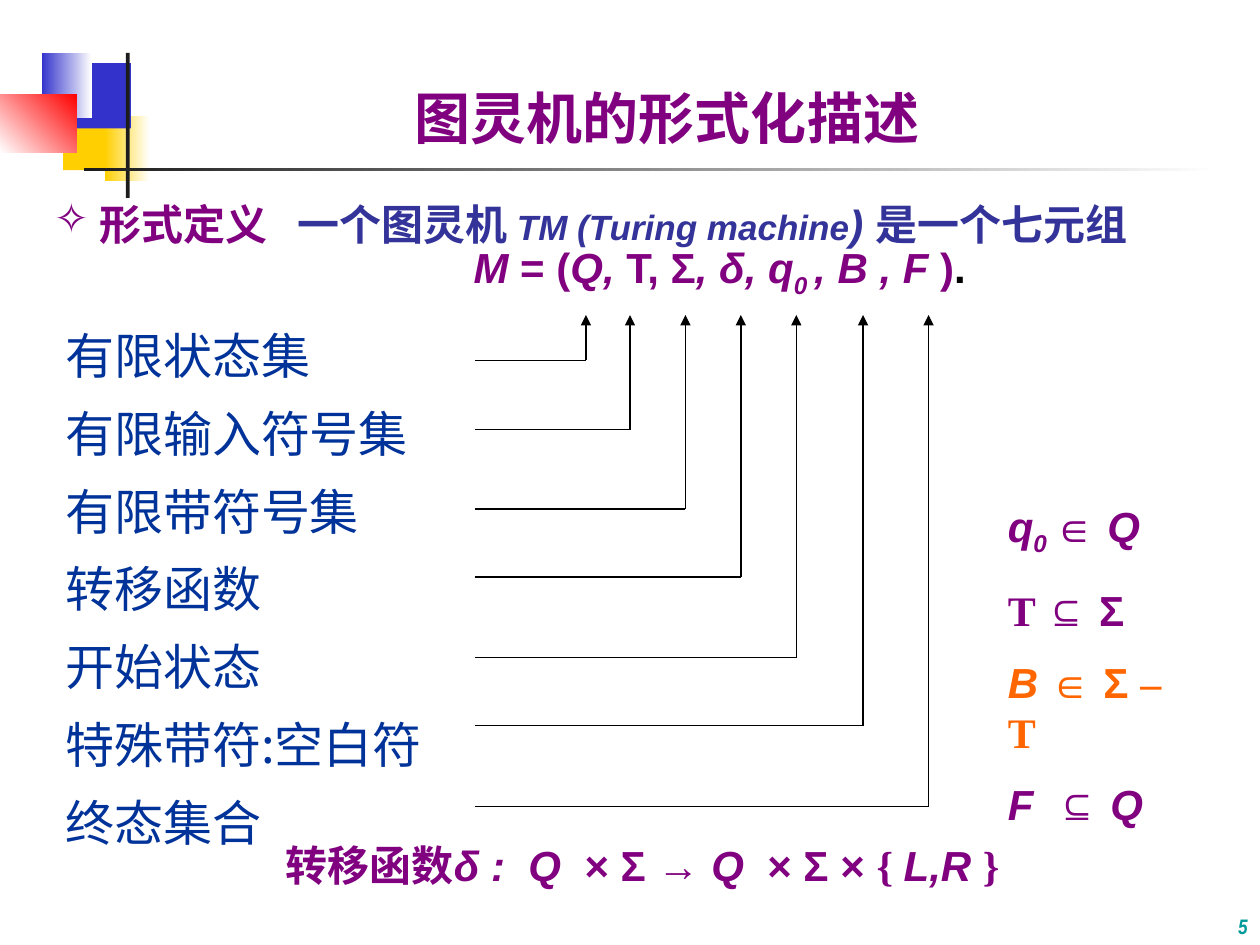
import pptx
import pptx.util
import pptx.dml.color
import pptx.enum.shapes
import pptx.enum.text
import pptx.oxml
import pptx.oxml.ns

Inches = pptx.util.Inches
Pt = pptx.util.Pt
qn = pptx.oxml.ns.qn
ANCHOR = pptx.enum.text.MSO_ANCHOR
ALIGN = pptx.enum.text.PP_ALIGN
STRAIGHT = pptx.enum.shapes.MSO_CONNECTOR.STRAIGHT
RECTANGLE = pptx.enum.shapes.MSO_SHAPE.RECTANGLE
COLORS = {
    "purple": "800080", "indigo": "333399", "navy": "003399",
    "orange": "FF6600", "teal": "009999", "black": "000000",
    "white": "FFFFFF", "gold": "FFCF01", "blue": "3333CC",
    "red": "FF0000", "ink": "1C1C1C",
}
RGB = {name: pptx.dml.color.RGBColor.from_string(value) for name, value in COLORS.items()}
CJK_FONT = "Noto Sans CJK SC"


def write(paragraph, text, size=24, font="Arial", color="purple", bold=True,
          italic=False, baseline=0, tracking=0):
    run = paragraph.add_run()
    run.text = text
    run.font.size = Pt(size)
    run.font.name = font
    run.font.bold = bold
    run.font.italic = italic
    run.font.color.rgb = RGB[color]
    properties = run.font._element
    if baseline:
        properties.set("baseline", str(baseline * 1000))
    if tracking:
        properties.set("spc", str(int(tracking * 100)))
    if any("一" <= letter <= "鿿" for letter in text):
        east_asian = properties.makeelement(qn("a:ea"), {"typeface": CJK_FONT})
        properties.find(qn("a:latin")).addnext(east_asian)


def add_text(left, top, width, height):
    frame = slide.shapes.add_textbox(
        Inches(left), Inches(top), Inches(width), Inches(height)).text_frame
    frame.word_wrap = True
    return frame


deck = pptx.Presentation()
deck.slide_width = Inches(10)
deck.slide_height = Inches(7.5)
slide = deck.slides.add_slide(deck.slide_layouts[5])

ornaments = [
    (0.5, 0.83, 0.48, 0.52, ["gold"], 0),
    (0.83, 0.92, 0.36, 0.52, ["white", "gold"], 180),
    (0.58, 0.5, 0.46, 0.52, ["blue"], 0),
    (0.33, 0.42, 0.4, 0.52, ["white", "blue"], 180),
    (0, 0.75, 0.61, 0.46, ["red", "white"], 225),
    (1, 0.42, 0.03, 1.15, ["ink"], 0),
    (0.67, 1.33, 9, 0.03, ["white", "ink"], 180),
]
for left, top, width, height, tones, angle in ornaments:
    ornament = slide.shapes.add_shape(
        RECTANGLE, Inches(left), Inches(top), Inches(width), Inches(height))
    ornament.shadow.inherit = False
    ornament.line.fill.background()
    if len(tones) == 1:
        ornament.fill.solid()
        ornament.fill.fore_color.rgb = RGB[tones[0]]
    else:
        ornament.fill.gradient()
        ornament.fill.gradient_angle = angle
        for stop, tone, position in zip(ornament.fill.gradient_stops, tones, (0, 1)):
            stop.color.rgb = RGB[tone]
            stop.position = position

title = slide.shapes.title
title.left, title.top = Inches(0.92), Inches(0.58)
title.width, title.height = Inches(8.75), Inches(0.67)
title.text_frame.vertical_anchor = ANCHOR.BOTTOM
title.text_frame.auto_size = pptx.enum.text.MSO_AUTO_SIZE.NONE
heading = title.text_frame.paragraphs[0]
heading.alignment = ALIGN.CENTER
heading.line_spacing = 0.9
write(heading, "图灵机的形式化描述", size=32)

components = add_text(0.42, 2.5, 3.61, 4.27)
names = ["有限状态集", "有限输入符号集", "有限带符号集", "转移函数",
         "开始状态", "特殊带符:空白符", "终态集合"]
for index, name in enumerate(names):
    component = components.add_paragraph() if index else components.paragraphs[0]
    component.line_spacing = Pt(36)
    component.space_after = Pt(8.5)
    write(component, name, size=28, font=CJK_FONT, color="navy", bold=False)

elbow_left, arrow_top = 3.77, 2.5
elbows = [(4.65, 2.86), (5, 3.41), (5.44, 4.04), (5.88, 4.58),
          (6.32, 5.22), (6.85, 5.76), (7.37, 6.4)]
for x, y in elbows:
    for start_x, end_y in ((elbow_left, y), (x, arrow_top)):
        segment = slide.shapes.add_connector(
            STRAIGHT, Inches(start_x), Inches(y), Inches(x), Inches(end_y))
        segment.line.color.rgb = RGB["black"]
        segment.line.width = Pt(0.75)
        outline = segment.line._get_or_add_ln()
        if end_y == arrow_top:
            outline.append(outline.makeelement(qn("a:tailEnd"), {"type": "triangle"}))
        outline.addnext(outline.makeelement(qn("a:effectLst"), {}))

conditions = add_text(7.9, 3.98, 1.6, 2.26)
condition_rows = [
    (16, [("q", {"italic": True}), ("0 ", {"italic": True, "baseline": -25}),
          ("∈ ", {}), ("Q", {"italic": True})]),
    (12.5, [("T ", {"font": "Times New Roman"}), ("⊆ Σ", {})]),
    (12.5, [("B ", {"italic": True, "color": "orange"}), ("∈ Σ ", {"color": "orange"}),
            ("– T", {"font": "Times New Roman", "color": "orange"})]),
    (0, [("F", {"italic": True}), (" ", {"tracking": 6.7}), ("⊆ ", {}),
         ("Q", {"italic": True})]),
]
for index, (gap, pieces) in enumerate(condition_rows):
    condition = conditions.add_paragraph() if index else conditions.paragraphs[0]
    condition.line_spacing = Pt(28.5)
    condition.space_after = Pt(gap)
    for text, style in pieces:
        write(condition, text, **style)

transition = add_text(2.17, 6.58, 7.57, 0.5).paragraphs[0]
transition.line_spacing = Pt(31)
for text, style in [
    ("转移函数", {"font": "Times New Roman"}), ("δ :", {"italic": True}),
    (" ", {"tracking": 6.7}), ("Q", {"italic": True}), (" ", {"tracking": 6.7}),
    ("× Σ → ", {}), ("Q", {"italic": True}), (" ", {"tracking": 6.7}),
    ("× Σ × ", {}), ("{ ", {"font": "Times New Roman"}),
    ("L,R ", {"italic": True}), ("}", {"font": "Times New Roman"}),
]:
    write(transition, text, **style)

definition = add_text(0.33, 1.52, 9.42, 0.96)
statement = definition.paragraphs[0]
tuple_line = definition.add_paragraph()
for line, margin, indent in ((statement, 0.36, -0.36), (tuple_line, 3.33, 0)):
    line_format = line._p.get_or_add_pPr()
    line_format.set("marL", str(Inches(margin)))
    line_format.set("indent", str(Inches(indent)))
    line.line_spacing = Pt(29)
statement_format = statement._p.get_or_add_pPr()
bullet_color = statement_format.makeelement(qn("a:buClr"), {})
bullet_color.append(bullet_color.makeelement(qn("a:srgbClr"), {"val": COLORS["purple"]}))
statement_format.append(bullet_color)
statement_format.append(statement_format.makeelement(qn("a:buChar"), {"char": "✧"}))
for text, style in [
    ("形式定义", {"font": "Times New Roman"}), (" ", {"tracking": 11.7}),
    ("一个图灵机 ", {"font": "Times New Roman", "color": "indigo"}),
    ("TM (Turing machine", {"size": 20, "italic": True, "color": "indigo"}),
    (") ", {"italic": True, "color": "indigo"}), ("是一个七元组", {"color": "indigo"}),
]:
    write(statement, text, **style)
for text, style in [
    ("M", {"italic": True}), (" = (", {}), ("Q,", {"italic": True}), (" T, Σ", {}),
    (", δ, q", {"italic": True}), ("0 ", {"italic": True, "baseline": -25}),
    (", B , F ", {"italic": True}), (")", {}), (".", {"color": "black"}),
]:
    write(tuple_line, text, **style)

page_frame = add_text(8.33, 7, 1.67, 0.5)
page_frame.vertical_anchor = ANCHOR.BOTTOM
page_number = page_frame.paragraphs[0]
page_number.alignment = ALIGN.RIGHT
write(page_number, "5", size=12, font="Arial Narrow", color="teal", italic=True)

deck.save("out.pptx")
